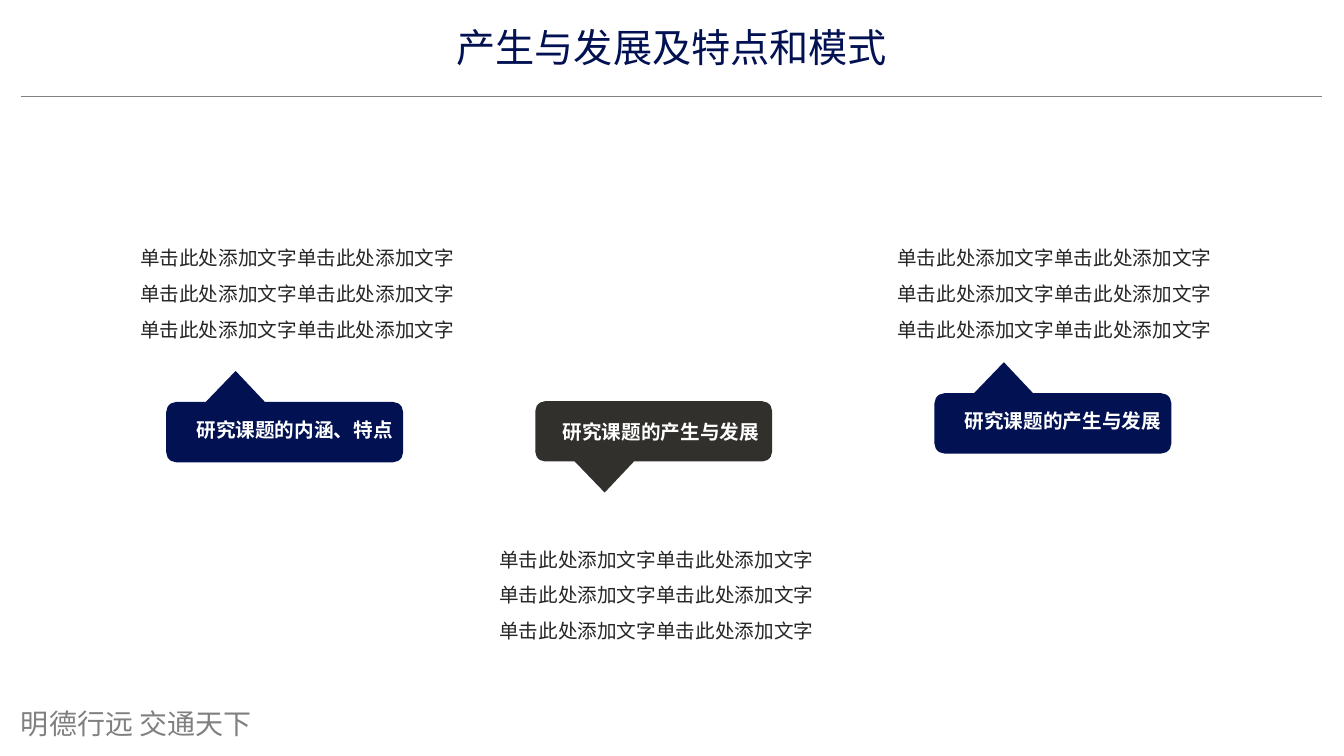
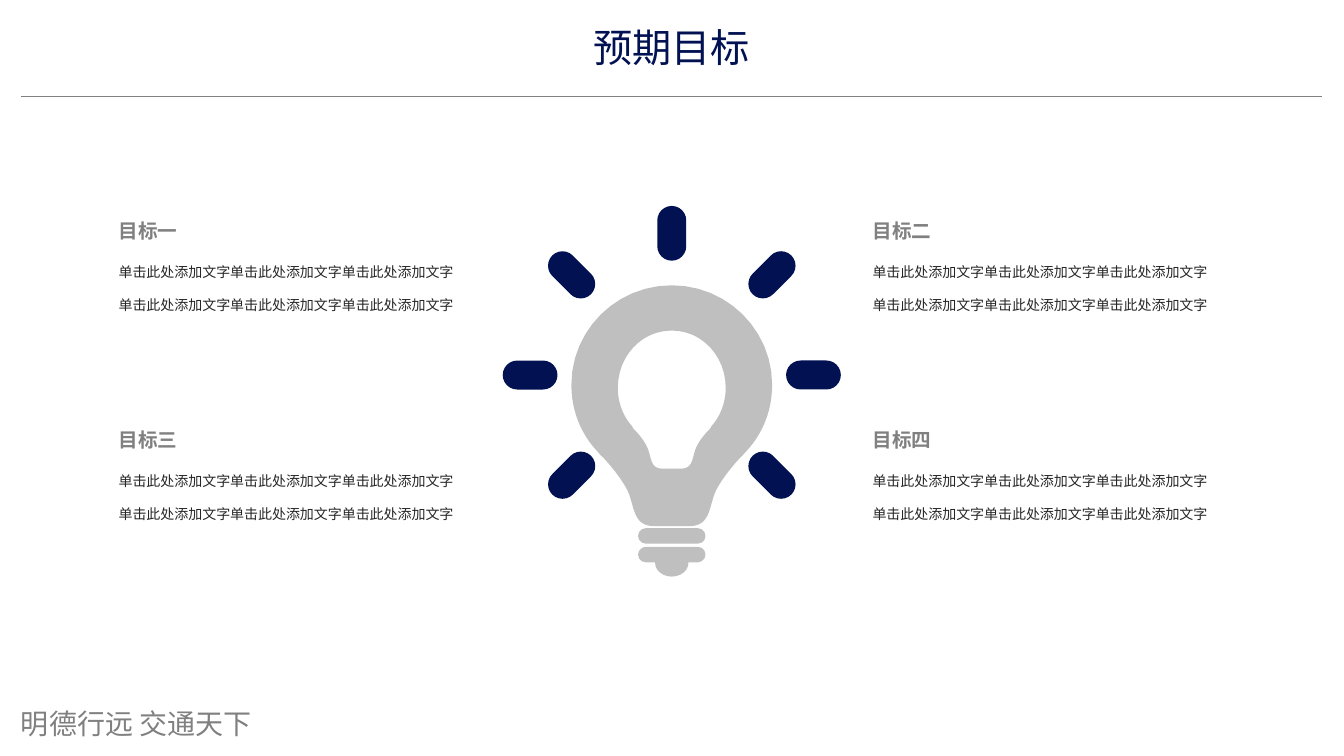
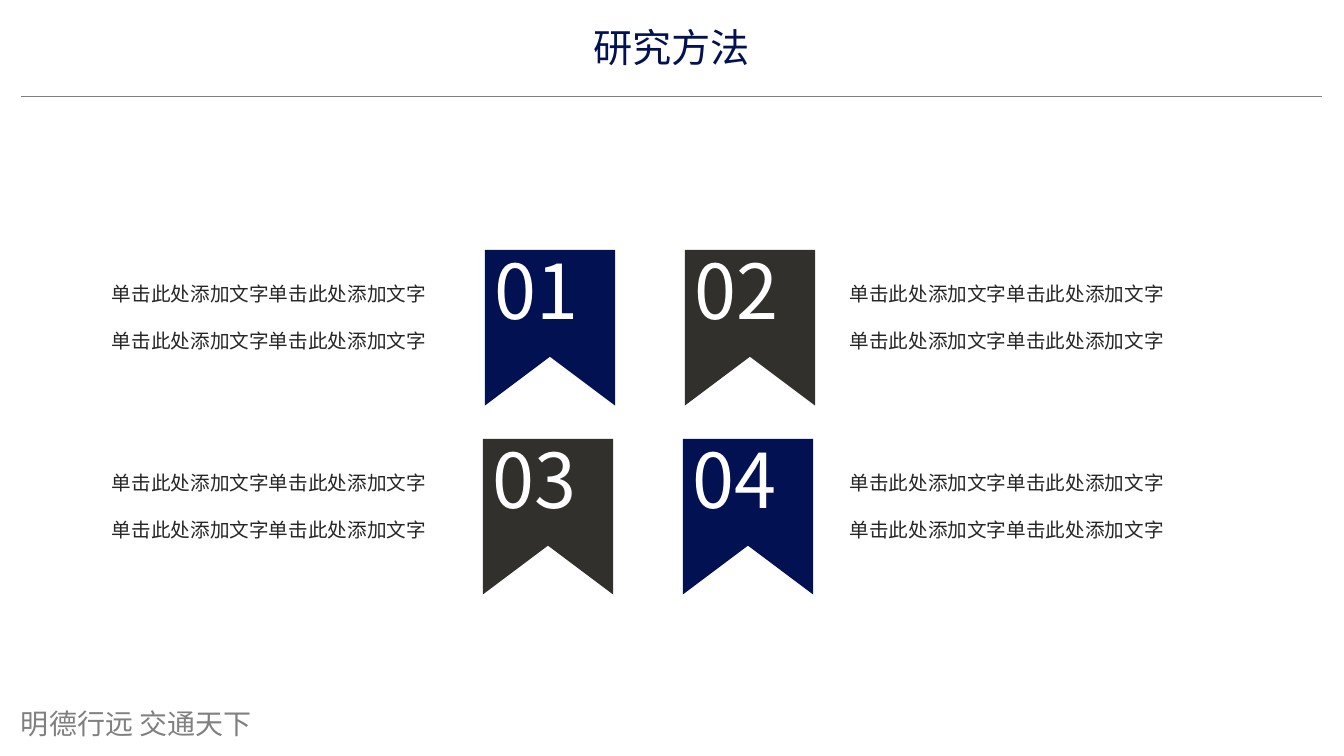
import dataclasses

import lxml.etree
import pptx
import pptx.dml.color
import pptx.enum.shapes
import pptx.enum.text
import pptx.oxml.ns
import pptx.util

Cm = pptx.util.Cm
Pt = pptx.util.Pt
SHAPE = pptx.enum.shapes.MSO_SHAPE
ALIGN = pptx.enum.text.PP_ALIGN
ANCHOR = pptx.enum.text.MSO_ANCHOR
qn = pptx.oxml.ns.qn

PHRASE = "单击此处添加文字"


@dataclasses.dataclass(frozen=True)
class Theme:
    navy: str = "011152"
    charcoal: str = "31302C"
    gray: str = "808080"
    silver: str = "BFBFBF"
    ink: str = "262626"
    white: str = "FFFFFF"
    font: str = "Noto Sans CJK SC"
    footer_font: str = "Noto Sans CJK JP"
    number_size: float = 54
    title_size: float = 28
    footer_size: float = 20
    text_size: float = 14
    small_size: float = 10


THEME = Theme()


def rgb(code):
    return pptx.dml.color.RGBColor.from_string(code)


def bezier_points(start, curves, steps=12):
    """Points along a chain of cubic curves, each given as two controls and an end."""
    points = [start]
    for first, second, end in curves:
        origin = points[-1]
        for step in range(1, steps + 1):
            t = step / steps
            weights = ((1 - t) ** 3, 3 * t * (1 - t) ** 2, 3 * t * t * (1 - t), t ** 3)
            corners = (origin, first, second, end)
            points.append(tuple(sum(w * corner[axis] for w, corner in zip(weights, corners))
                                for axis in (0, 1)))
    return points


def mirrored(half, axis):
    """Closed outline from half an outline whose x values are distances from the axis."""
    return ([(axis - x, y) for x, y in half]
            + [(axis + x, y) for x, y in reversed(half)])


class SlideMaker:
    def __init__(self):
        self.deck = pptx.Presentation()
        self.deck.slide_width, self.deck.slide_height = Cm(33.87), Cm(19.05)
        self.slide = None

    def new_slide(self, title):
        self.slide = self.deck.slides.add_slide(self.deck.slide_layouts[5])
        box = self.slide.shapes.title
        box.left, box.top, box.width, box.height = Cm(0.53), Cm(0.43), Cm(32.8), Cm(1.5)
        self.set_text(box, [title], THEME.title_size, THEME.navy, align=ALIGN.CENTER)
        self.rule(0.53, 33.32, 2.42)
        self.text(0.28, 17.67, 10, 1.1, ["明德行远 交通天下"], THEME.footer_size,
                  THEME.gray, font=THEME.footer_font)

    def set_text(self, shape, lines, size, color, bold=False, font=THEME.font,
                 align=ALIGN.LEFT, anchor=ANCHOR.MIDDLE, spacing=1.0,
                 insets=(0.25, 0, 0.25, 0)):
        frame = shape.text_frame
        left, top, right, bottom = map(Cm, insets)
        values = {"word_wrap": True, "auto_size": pptx.enum.text.MSO_AUTO_SIZE.NONE,
                  "vertical_anchor": anchor, "margin_left": left, "margin_top": top,
                  "margin_right": right, "margin_bottom": bottom}
        for name, value in values.items():
            setattr(frame, name, value)
        for index, line in enumerate(lines):
            para = frame.add_paragraph() if index else frame.paragraphs[0]
            para.alignment, para.line_spacing = align, spacing
            span = para.add_run()
            span.text = line
            for name, value in {"size": Pt(size), "bold": bold, "name": font}.items():
                setattr(span.font, name, value)
            span.font.color.rgb = rgb(color)
            east_asian = lxml.etree.SubElement(span.font._element, qn("a:ea"))
            east_asian.set("typeface", font)

    def text(self, left, top, width, height, lines, size, color, **style):
        box = self.slide.shapes.add_textbox(Cm(left), Cm(top), Cm(width), Cm(height))
        self.set_text(box, lines, size, color, **style)

    def rule(self, start, end, top):
        line = self.slide.shapes.add_connector(
            pptx.enum.shapes.MSO_CONNECTOR.STRAIGHT, Cm(start), Cm(top), Cm(end), Cm(top))
        line.line.color.rgb, line.line.width = rgb(THEME.gray), Pt(0.5)
        lxml.etree.SubElement(line._element.spPr, qn("a:effectLst"))

    def paint(self, shape, fill):
        shape.shadow.inherit = False
        shape.fill.solid()
        shape.fill.fore_color.rgb = rgb(fill)
        shape.line.fill.background()
        return shape

    def shape(self, kind, left, top, width, height, fill, adjustments=(), rotation=0):
        shape = self.slide.shapes.add_shape(kind, Cm(left), Cm(top), Cm(width), Cm(height))
        for index, value in enumerate(adjustments):
            shape.adjustments[index] = value
        shape.rotation = rotation
        return self.paint(shape, fill)

    def outline(self, contours, fill):
        """Filled freeform; contours after the first cut holes."""
        contours = [[(Cm(x), Cm(y)) for x, y in contour] for contour in contours]
        builder = self.slide.shapes.build_freeform(*contours[0][0])
        builder.add_line_segments(contours[0][1:])
        for contour in contours[1:]:
            builder.move_to(*contour[0])
            builder.add_line_segments(contour[1:])
        return self.paint(builder.convert_to_shape(), fill)

    def callout(self, left, top, label, fill, points_up):
        tip = -1.015 if points_up else 1.015
        insets = (0.18, 0, 0.18, 0.13) if points_up else (0.25, 0, 0.25, 0)
        shape = self.shape(SHAPE.ROUNDED_RECTANGULAR_CALLOUT, left, top, 5.97, 1.52, fill,
                           (-0.207, tip, 0.167))
        self.set_text(shape, [label], THEME.text_size, THEME.white, bold=True,
                      align=ALIGN.RIGHT, insets=insets)

    def flag(self, left, top, number, fill):
        width, height, notch = 3.28, 3.92, 2.69
        corners = [(0, 0), (width, 0), (width, height), (width / 2, notch), (0, height)]
        shape = self.outline([[(left + x, top + y) for x, y in corners]], fill)
        self.set_text(shape, [number], THEME.number_size, THEME.white, anchor=ANCHOR.TOP,
                      spacing=0.9, insets=(0.25, 0.1, 0, 0))

    def bulb(self, axis):
        glass = bezier_points((0, 7.19), [
            ((1.39, 7.19), (2.53, 8.31), (2.53, 9.7)),
            ((2.53, 10.36), (2.28, 10.95), (1.87, 11.38)),
            ((1.83, 11.42), (1.8, 11.47), (1.75, 11.51)),
            ((1.6, 11.66), (1.35, 11.96), (1.18, 12.24)),
            ((0.91, 12.65), (1.05, 13.26), (0.44, 13.26))])
        hollow = bezier_points((0, 8.33), [
            ((0.76, 8.33), (1.36, 8.97), (1.36, 9.78)),
            ((1.36, 10.13), (1.23, 10.49), (1, 10.74)),
            ((0.99, 10.77), (0.97, 10.8), (0.95, 10.82)),
            ((0.85, 10.92), (0.72, 11.07), (0.64, 11.23)),
            ((0.5, 11.48), (0.57, 11.81), (0.24, 11.81))])
        self.outline([mirrored(glass, axis), mirrored(hollow, axis)], THEME.silver)
        for top in (13.31, 13.78):
            self.shape(SHAPE.ROUNDED_RECTANGLE, axis - 0.85, top, 1.7, 0.39, THEME.silver, (0.5,))
        self.shape(SHAPE.OVAL, axis - 0.42, 13.84, 0.84, 0.69, THEME.silver)

    def rays(self, center_x, center_y, radius):
        """Seven rays at steps of 45 degrees, none pointing down."""
        width, length = 0.73, 1.38
        diagonal = radius * 0.5 ** 0.5
        places = {0: (0, -radius), 45: (diagonal, -diagonal), 90: (radius, 0),
                  135: (diagonal, diagonal), 225: (-diagonal, diagonal),
                  270: (-radius, 0), 315: (-diagonal, -diagonal)}
        for angle, (x, y) in places.items():
            self.shape(SHAPE.ROUNDED_RECTANGLE, center_x + x - width / 2,
                       center_y + y - length / 2, width, length, THEME.navy, (0.5,), angle)


def topic_slide(maker):
    maker.new_slide("产生与发展及特点和模式")
    origin = "研究课题的产生与发展"
    topics = [(3.35, 5.25, 4.19, 10.13, "研究课题的内涵、特点", THEME.navy, True),
              (12.4, 12.84, 13.49, 10.11, origin, THEME.charcoal, False),
              (22.43, 5.25, 23.55, 9.91, origin, THEME.navy, True)]
    for text_left, text_top, left, top, label, fill, points_up in topics:
        maker.text(text_left, text_top, 8.6, 4, [PHRASE * 6], THEME.text_size, THEME.ink,
                   spacing=Pt(25.4), insets=(0.18, 0, 0.18, 0))
        maker.callout(left, top, label, fill, points_up)


def goal_slide(maker):
    maker.new_slide("预期目标")
    maker.bulb(16.93)
    maker.rays(16.93, 9.45, 3.57)
    for index, numeral in enumerate("一二三四"):
        row, column = divmod(index, 2)
        left, shift = 2.74 + 19 * column, 5.27 * row
        maker.text(left, 5.41 + shift, 8.23, 0.8, ["目标" + numeral], THEME.text_size,
                   THEME.gray, bold=True)
        maker.text(left, 6.17 + shift, 9.63, 1.8, [PHRASE * 3] * 2, THEME.small_size,
                   THEME.ink, align=ALIGN.JUSTIFY, spacing=Pt(23.5))


def method_slide(maker):
    maker.new_slide("研究方法")
    fills = (THEME.navy, THEME.charcoal, THEME.charcoal, THEME.navy)
    for index, fill in enumerate(fills):
        row, column = divmod(index, 2)
        shift = 4.76 * row
        maker.flag(12.22 + 5.04 * column - 0.05 * row, 6.3 + shift, f"{index + 1:02}", fill)
        maker.text(2.49 + 18.59 * column, 6.39 + shift, 9.22, 2.6, [PHRASE * 2] * 2,
                   THEME.text_size, THEME.ink, align=ALIGN.JUSTIFY, spacing=Pt(33.6),
                   insets=(0.33, 0, 0.33, 0))


def main():
    maker = SlideMaker()
    topic_slide(maker)
    goal_slide(maker)
    method_slide(maker)
    maker.deck.save("out.pptx")


if __name__ == "__main__":
    main()
